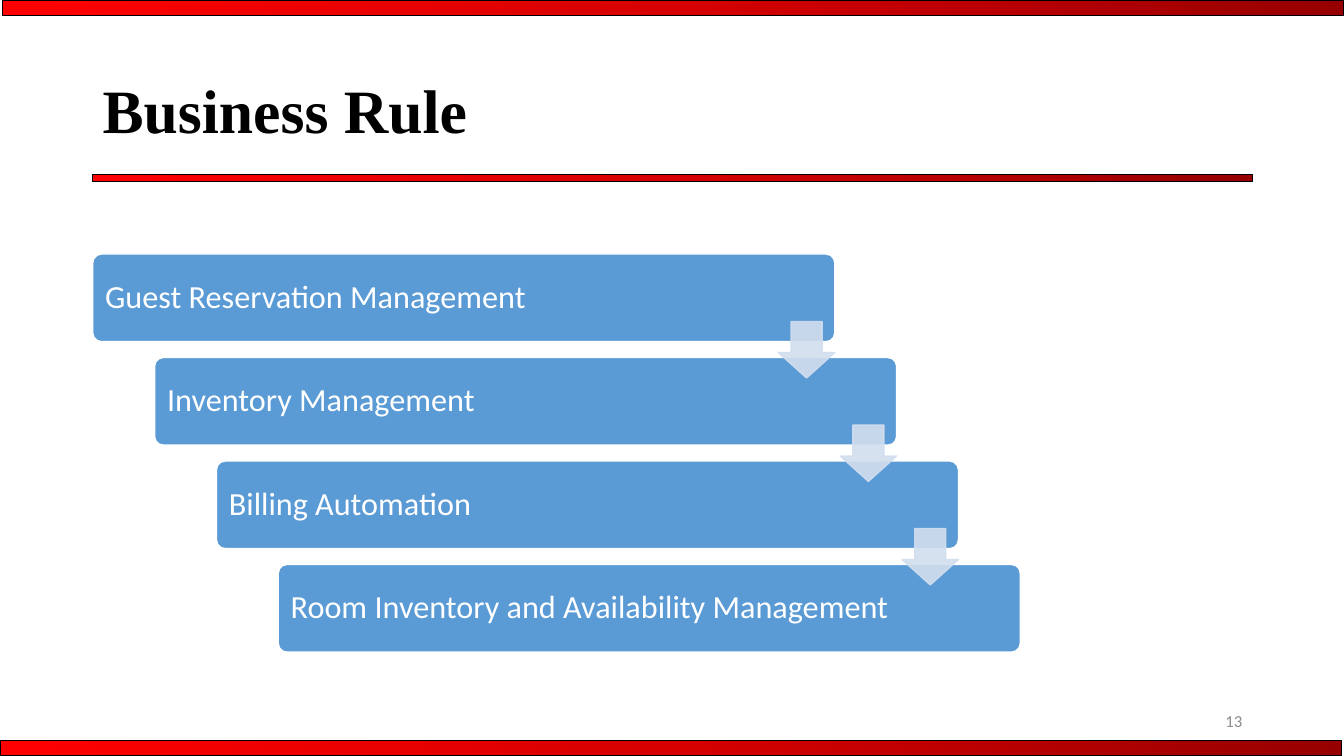
from copy import deepcopy
from dataclasses import dataclass

from lxml.etree import SubElement
from pptx import Presentation
from pptx.dml.color import RGBColor
from pptx.enum.shapes import MSO_SHAPE
from pptx.enum.text import MSO_ANCHOR, PP_ALIGN
from pptx.oxml.ns import qn
from pptx.util import Inches, Pt

TITLE = "Business Rule"
PAGE_NUMBER = "13"
RULES = [
    "Guest Reservation Management",
    "Inventory Management",
    "Billing Automation",
    "Room Inventory and Availability Management",
]


@dataclass(frozen=True)
class Theme:
    title_font: str = "Times New Roman"
    body_font: str = "Calibri"
    title_size: int = 44
    card_size: int = 23
    number_size: int = 12
    black: str = "000000"
    white: str = "FFFFFF"
    grey: str = "8C8C8C"
    card: str = "5B9BD5"
    arrow: str = "D2DEEF"
    arrow_opacity: int = 90
    bar_stops: tuple = ("970000", "D70000", "FF0000")


THEME = Theme()

# Lengths in inches
SLIDE_WIDTH, SLIDE_HEIGHT = 13.33, 7.5
MARGIN = 0.92
CONTENT_WIDTH = 11.5
BAR_WIDTH, BAR_HEIGHT = 13.31, 0.15
CARD_WIDTH, CARD_HEIGHT = 7.36, 0.87
CARDS_TOP = 2.52
STEP_X, STEP_Y = 1.84 / 3, 3.08 / 3
ARROW_SIZE = 0.56
ARROW_OFFSET_X = CARD_WIDTH - ARROW_SIZE
ARROW_OFFSET_Y = 0.67


def write_text(shape, text, size, color, font=THEME.body_font, bold=False,
               align=PP_ALIGN.LEFT, line_spacing=None, margin_y=0.05):
    frame = shape.text_frame
    frame.word_wrap = True
    frame.vertical_anchor = MSO_ANCHOR.MIDDLE
    frame.margin_left = frame.margin_right = Inches(0.1)
    frame.margin_top = frame.margin_bottom = Inches(margin_y)
    paragraph = frame.paragraphs[0]
    paragraph.alignment = align
    if line_spacing:
        paragraph.line_spacing = line_spacing
    run = paragraph.add_run()
    run.text = text
    run.font.name = font
    run.font.size = Pt(size)
    run.font.bold = bold
    run.font.color.rgb = RGBColor.from_string(color)


def add_text_box(slide, box, text, **text_format):
    text_box = slide.shapes.add_textbox(*map(Inches, box))
    write_text(text_box, text, **text_format)


def add_plain_shape(slide, preset, box, fill, line, line_width=1.0, adjustments=()):
    shape = slide.shapes.add_shape(preset, *map(Inches, box))
    shape.shadow.inherit = False
    shape.fill.solid()
    shape.fill.fore_color.rgb = RGBColor.from_string(fill)
    shape.line.color.rgb = RGBColor.from_string(line)
    shape.line.width = Pt(line_width)
    for index, value in enumerate(adjustments):
        shape.adjustments[index] = value
    return shape


def add_bar(slide, box):
    bar = add_plain_shape(slide, MSO_SHAPE.RECTANGLE, box, THEME.black, THEME.black, 0.75)
    bar.fill.gradient()
    bar.fill.gradient_angle = 225  # counter-clockwise: dark right, bright left
    stop_list = next(bar._element.spPr.iter(qn("a:gsLst")))
    stop_list.append(deepcopy(stop_list[-1]))
    for index, (stop, color) in enumerate(zip(bar.fill.gradient_stops, THEME.bar_stops)):
        stop.position = index / 2
        stop.color.rgb = RGBColor.from_string(color)


def add_arrow(slide, left, top):
    arrow = add_plain_shape(slide, MSO_SHAPE.DOWN_ARROW, (left, top, ARROW_SIZE, ARROW_SIZE),
                            THEME.arrow, THEME.arrow, adjustments=(0.55, 0.45))
    # The preset lists its shaft width first and its head length second.
    for color in arrow._element.spPr.iter(qn("a:srgbClr")):
        SubElement(color, qn("a:alpha"), val=str(THEME.arrow_opacity * 1000))


def add_rule_steps(slide):
    corners = [(MARGIN + row * STEP_X, CARDS_TOP + row * STEP_Y) for row in range(len(RULES))]
    for (left, top), rule in zip(corners, RULES):
        card = add_plain_shape(slide, MSO_SHAPE.ROUNDED_RECTANGLE,
                               (left, top, CARD_WIDTH, CARD_HEIGHT),
                               THEME.card, THEME.white, adjustments=(0.1,))
        write_text(card, rule, size=THEME.card_size, color=THEME.white,
                   line_spacing=0.9, margin_y=0.1)
    for left, top in corners[:-1]:
        add_arrow(slide, left + ARROW_OFFSET_X, top + ARROW_OFFSET_Y)


def main():
    presentation = Presentation()
    presentation.slide_width = Inches(SLIDE_WIDTH)
    presentation.slide_height = Inches(SLIDE_HEIGHT)
    slide = presentation.slides.add_slide(presentation.slide_layouts[6])

    add_bar(slide, (SLIDE_WIDTH - BAR_WIDTH, 0, BAR_WIDTH, BAR_HEIGHT))
    add_bar(slide, (0, SLIDE_HEIGHT - BAR_HEIGHT, BAR_WIDTH, BAR_HEIGHT))
    add_bar(slide, (MARGIN, 1.73, CONTENT_WIDTH, 0.07))
    add_text_box(slide, (MARGIN, 0.4, CONTENT_WIDTH, 1.45), TITLE, size=THEME.title_size,
                 color=THEME.black, font=THEME.title_font, bold=True, line_spacing=0.9)
    add_text_box(slide, (MARGIN + CONTENT_WIDTH - 3, 6.95, 3, 0.4), PAGE_NUMBER,
                 size=THEME.number_size, color=THEME.grey, align=PP_ALIGN.RIGHT)
    add_rule_steps(slide)

    presentation.save("out.pptx")


if __name__ == "__main__":
    main()
